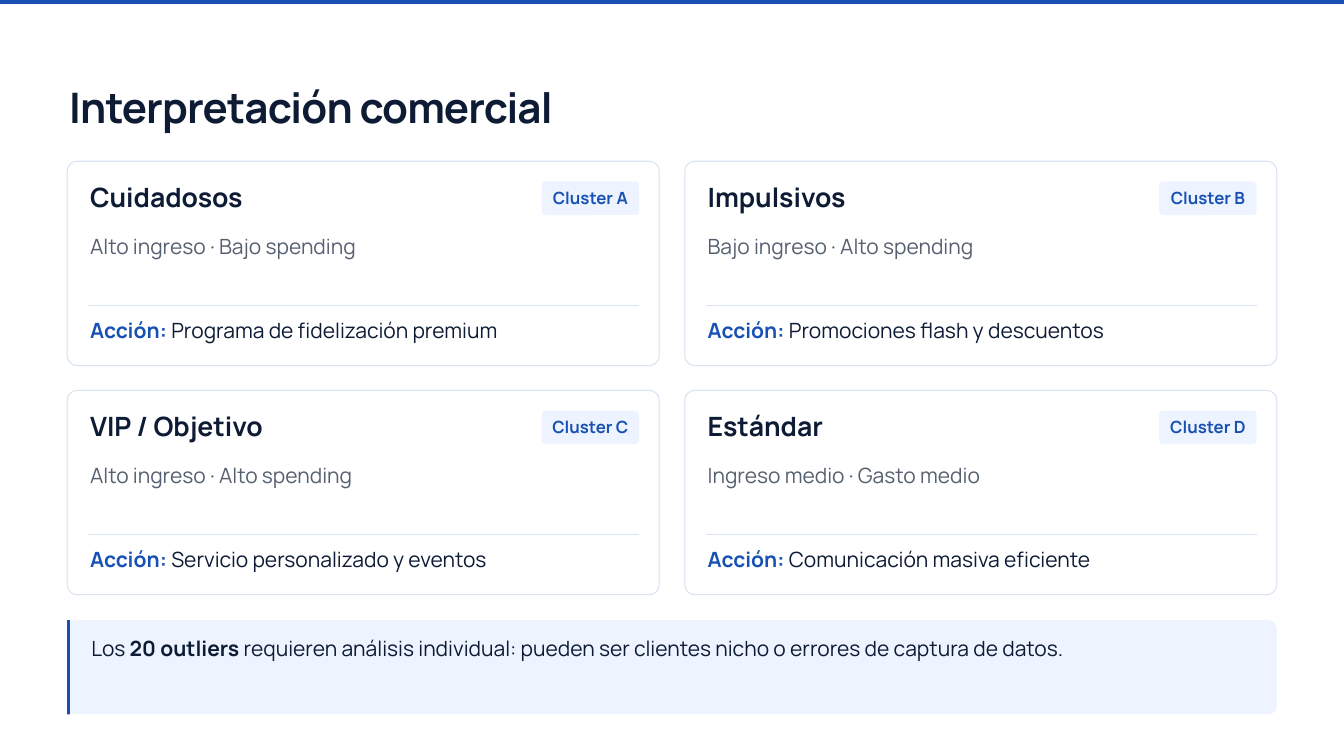
import pptx
import pptx.util
import pptx.dml.color
import pptx.enum.shapes
import pptx.enum.text
import pptx.oxml.ns
from dataclasses import dataclass
from lxml import etree

COLS, ROWS = 20, 11.25
SHAPE = pptx.enum.shapes.MSO_SHAPE
ALIGN = pptx.enum.text.PP_ALIGN


@dataclass(frozen=True)
class Theme:
    font: str = "Manrope"
    blue: str = "1851B4"
    ink: str = "0D1B35"
    grey: str = "556070"
    edge: str = "D8E2F0"
    pale: str = "EEF4FF"
    title: float = 45
    head: float = 28.5
    body: float = 22.5
    tag: float = 18
    line: float = 1.1


def tint(code):
    return pptx.dml.color.RGBColor.from_string(code)


class Deck:
    def __init__(self, theme):
        self.theme = theme
        self.show = pptx.Presentation()
        self.show.slide_width = pptx.util.Inches(20)
        self.show.slide_height = pptx.util.Inches(11.25)
        self.slide = self.show.slides.add_slide(self.show.slide_layouts[5])

    def place(self, x, y, w, h):
        wide, high = self.show.slide_width / COLS, self.show.slide_height / ROWS
        return [round(n) for n in (x * wide, y * high, w * wide, h * high)]

    def style(self, frame, parts, size, lead, align=ALIGN.LEFT, top=0):
        frame.word_wrap = True
        frame.auto_size = pptx.enum.text.MSO_AUTO_SIZE.NONE
        frame.vertical_anchor = pptx.enum.text.MSO_ANCHOR.TOP
        frame.margin_left = frame.margin_right = frame.margin_bottom = 0
        frame.margin_top = pptx.util.Inches(top)
        para = frame.paragraphs[0]
        para.alignment = align
        para.line_spacing = pptx.util.Pt(lead)
        for words, color, bold in parts:
            run = para.add_run()
            run.text = words
            run.font.name = self.theme.font
            run.font.size = pptx.util.Pt(size)
            run.font.bold = bold
            run.font.color.rgb = tint(color)

    def title(self, words, x, y, w, h):
        head = self.slide.shapes.title
        head.left, head.top, head.width, head.height = self.place(x, y, w, h)
        self.style(head.text_frame, [(words, self.theme.ink, True)], self.theme.title, 56.7)
        for run in head.text_frame.paragraphs[0].runs:
            run.font._element.set("spc", "-90")

    def text(self, parts, x, y, w, h, size, lead):
        box = self.slide.shapes.add_textbox(*self.place(x, y, w, h))
        self.style(box.text_frame, parts, size, lead)

    def block(self, x, y, w, h, fill=None, edge=None, curve=0):
        kind = SHAPE.ROUNDED_RECTANGLE if curve else SHAPE.RECTANGLE
        shape = self.slide.shapes.add_shape(kind, *self.place(x, y, w, h))
        shape.shadow.inherit = False
        if curve:
            shape.adjustments[0] = curve / min(w, h)
        if fill:
            shape.fill.solid()
            shape.fill.fore_color.rgb = tint(fill)
        else:
            shape.fill.background()
        if edge:
            shape.line.color.rgb = tint(edge)
            shape.line.width = pptx.util.Pt(self.theme.line)
        else:
            shape.line.fill.background()
        return shape

    def rule(self, x, y, w):
        left, top, wide, _ = self.place(x, y, w, 0)
        line = self.slide.shapes.add_connector(
            pptx.enum.shapes.MSO_CONNECTOR.STRAIGHT, left, top, left + wide, top)
        line.line.color.rgb = tint(self.theme.edge)
        line.line.width = pptx.util.Pt(self.theme.line)
        etree.SubElement(line._element.spPr, pptx.oxml.ns.qn("a:effectLst"))

    def card(self, x, y, name, tag, trait, act):
        look = self.theme
        self.block(x, y, 8.81, 3.04, edge=look.edge, curve=0.15)
        self.text([(name, look.ink, True)], x + 0.34, y + 0.29, 5, 0.51, look.head, 34.2)
        chip = self.block(x + 7.06, y + 0.3, 1.45, 0.5, fill=look.pale, curve=0.06)
        self.style(chip.text_frame, [(tag, look.blue, True)], look.tag, 21.6, ALIGN.CENTER, 0.07)
        self.text([(trait, look.grey, False)], x + 0.34, y + 0.92, 8.39, 0.51, look.body, 37.8)
        self.rule(x + 0.31, y + 2.15, 8.2)
        self.text([("Acción: ", look.blue, True), (act, look.ink, False)],
                  x + 0.34, y + 2.15, 8.39, 0.53, look.body, 39.1)

    def note(self, parts, x, y, w, h):
        look = self.theme
        self.block(x, y, w, h, fill=look.pale, curve=0.12)
        self.block(x, y, 0.04, h, fill=look.blue)
        self.text(parts, x + 0.36, y + 0.04, w - 0.5, 0.54, look.body, 40.5)


CARDS = [
    ("Cuidadosos", "Cluster A", "Alto ingreso · Bajo spending", "Programa de fidelización premium"),
    ("Impulsivos", "Cluster B", "Bajo ingreso · Alto spending", "Promociones flash y descuentos"),
    ("VIP / Objetivo", "Cluster C", "Alto ingreso · Alto spending", "Servicio personalizado y eventos"),
    ("Estándar", "Cluster D", "Ingreso medio · Gasto medio", "Comunicación masiva eficiente"),
]


def main():
    look = Theme()
    deck = Deck(look)
    deck.block(0, 0, COLS, 0.06, fill=look.blue)
    deck.title("Interpretación comercial", 1.03, 1.18, 10, 0.82)
    for i, card in enumerate(CARDS):
        row, col = divmod(i, 2)
        deck.card(1 + col * 9.19, 2.4 + row * 3.41, *card)
    deck.note([
        ("Los ", look.ink, False),
        ("20 outliers ", look.ink, True),
        ("requieren análisis individual: pueden ser clientes nicho o errores de captura de datos.",
         look.ink, False),
    ], 1, 9.23, 18, 1.4)
    deck.show.save("out.pptx")


if __name__ == "__main__":
    main()
